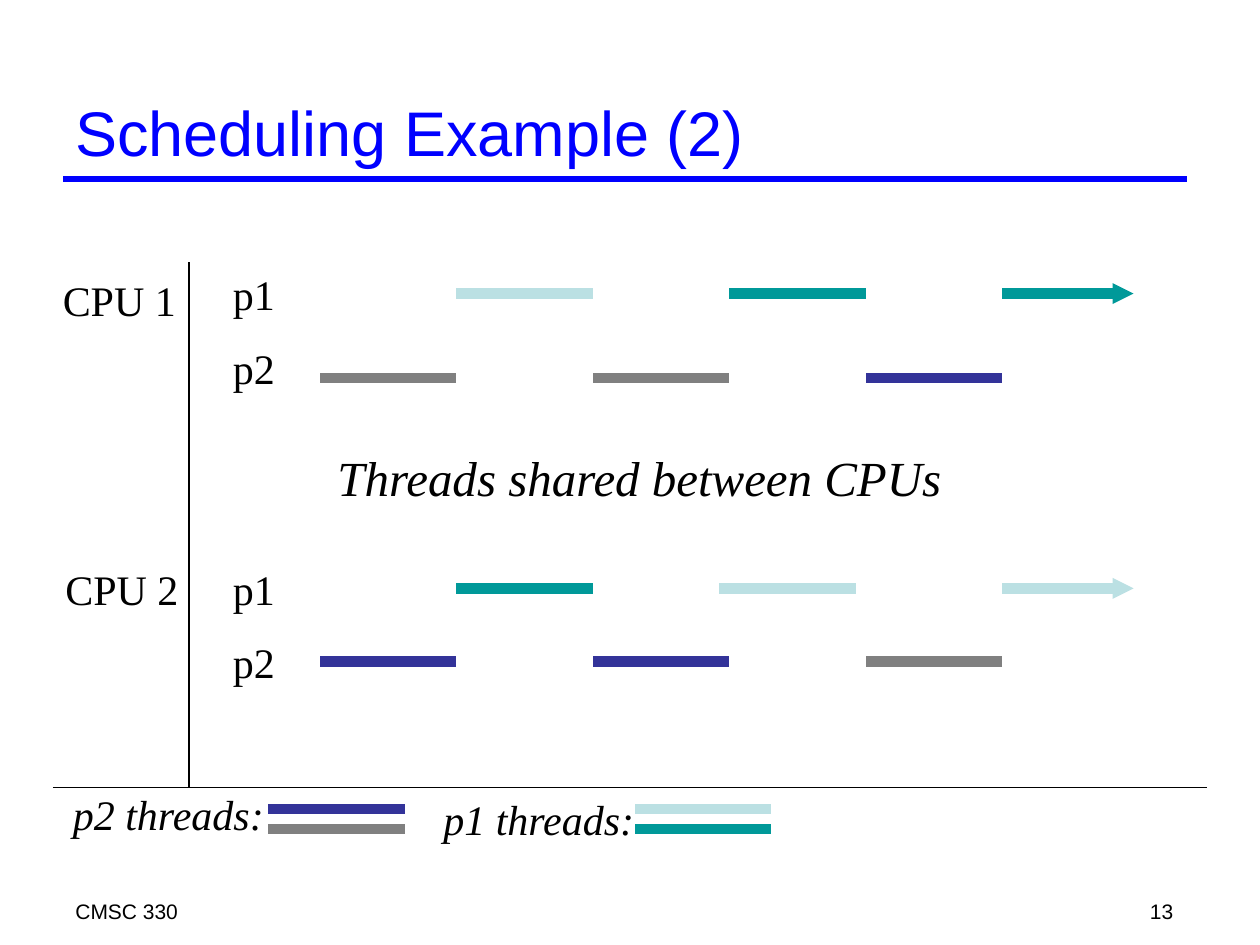
from pptx import Presentation
from pptx.dml.color import RGBColor
from pptx.enum.shapes import MSO_CONNECTOR
from pptx.enum.text import MSO_ANCHOR, PP_ALIGN
from pptx.oxml.ns import qn
from pptx.util import Inches, Pt
from lxml import etree

STRAIGHT = MSO_CONNECTOR.STRAIGHT
TOP, MIDDLE = MSO_ANCHOR.TOP, MSO_ANCHOR.MIDDLE
LEFT, RIGHT = PP_ALIGN.LEFT, PP_ALIGN.RIGHT

BLUE, BLACK = "0000FF", "000000"
PALE, TEAL, INDIGO, GRAY = "BBE0E3", "009999", "333399", "808080"
SANS, SERIF = "Arial", "Times New Roman"

FIRST_SLOT, SLOT_STEP, BAR_LENGTH = 2.58, 13 / 12, 1

CPUS = [("CPU 1", 0.4, 2.13), ("CPU 2", 0.42, 4.42)]

# process, label top, bar height, (slot, colour, shift) per bar
PROCESSES = [
    ("p1", 2.08, 2.33, [(1, PALE, 0), (3, TEAL, 0), (5, TEAL, 0)]),
    ("p2", 2.67, 3, [(0, GRAY, 0), (2, GRAY, 0), (4, INDIGO, 0)]),
    ("p1", 4.42, 4.67, [(1, TEAL, 0), (3, PALE, -0.08), (5, PALE, 0)]),
    ("p2", 5, 5.25, [(0, INDIGO, 0), (2, INDIGO, 0), (4, GRAY, 0)]),
]
LAST_SLOT = 5

LEGEND = [
    ("p2 threads:", 0.48, 6.21, 2.17, [INDIGO, GRAY]),
    ("p1 threads:", 3.42, 6.25, 5.08, [PALE, TEAL]),
]
LEGEND_TOP, LEGEND_STEP = 6.42, 0.16


def rgb(color):
    return RGBColor.from_string(color)


def add_text(page, text, left, top, width, height, size=24, font=SERIF,
             color=BLACK, italic=False, align=LEFT, anchor=TOP, wrap=False):
    box = page.shapes.add_textbox(
        Inches(left), Inches(top), Inches(width), Inches(height))
    frame = box.text_frame
    frame.word_wrap = wrap
    frame.vertical_anchor = anchor
    para = frame.paragraphs[0]
    para.alignment = align
    span = para.add_run()
    span.text = text
    span.font.size = Pt(size)
    span.font.name = font
    span.font.italic = italic
    span.font.color.rgb = rgb(color)


def add_line(page, start, end, color, width, cap="flat", arrow=False):
    line = page.shapes.add_connector(
        STRAIGHT, *[Inches(value) for value in (*start, *end)])
    line.line.color.rgb = rgb(color)
    line.line.width = Pt(width)
    outline = line.line._get_or_add_ln()
    outline.set("cap", cap)
    if arrow:
        etree.SubElement(outline, qn("a:tailEnd"), type="triangle",
                         w="sm", len="sm")
    etree.SubElement(line._element.spPr, qn("a:effectLst"))


def add_bar(page, left, height, color, arrow=False):
    add_line(page, (left, height), (left + BAR_LENGTH, height), color, 6,
             cap="sq", arrow=arrow)


def main():
    deck = Presentation()
    deck.slide_width, deck.slide_height = Inches(10), Inches(7.5)
    page = deck.slides.add_slide(deck.slide_layouts[6])

    add_line(page, (0.5, 1.42), (9.42, 1.42), BLUE, 3)
    add_text(page, "CMSC 330", 0.5, 7.08, 6.08, 0.25, size=12, font=SANS,
             wrap=True)
    add_text(page, "13", 7.33, 7.08, 2.08, 0.25, size=12, font=SANS,
             align=RIGHT, wrap=True)
    add_text(page, "Scheduling Example (2)", 0.5, 0.67, 8.92, 0.75, size=36,
             font=SANS, color=BLUE, anchor=MIDDLE, wrap=True)

    for name, left, top in CPUS:
        add_text(page, name, left, top, 1.1, 0.5)

    for name, top, height, bars in PROCESSES:
        add_text(page, name, 1.75, top, 0.53, 0.5)
        for slot, color, shift in bars:
            add_bar(page, FIRST_SLOT + slot * SLOT_STEP + shift, height,
                    color, arrow=slot == LAST_SLOT)

    add_text(page, "Threads shared between CPUs", 2.58, 3.5, 5.02, 0.57,
             size=28, italic=True)

    for label, left, top, bar_left, colors in LEGEND:
        add_text(page, label, left, top, 1.73, 0.5, italic=True)
        for row, color in enumerate(colors):
            add_bar(page, bar_left, LEGEND_TOP + row * LEGEND_STEP, color)

    add_line(page, (0.42, 6.25), (9.58, 6.25), BLACK, 1)
    add_line(page, (1.5, 6.25), (1.5, 2.08), BLACK, 1)

    deck.save("out.pptx")


if __name__ == "__main__":
    main()
